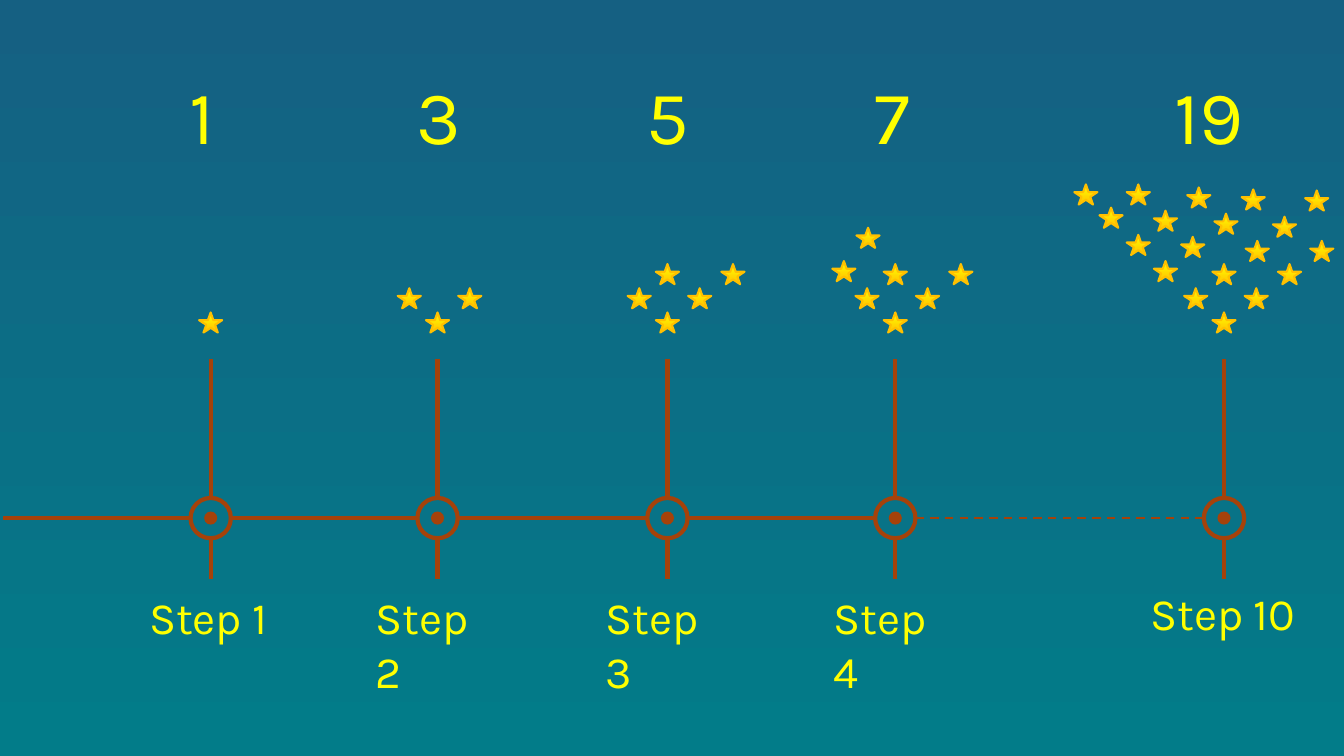
from dataclasses import dataclass

from lxml.etree import SubElement
from pptx import Presentation
from pptx.dml.color import RGBColor
from pptx.dml.fill import FillFormat
from pptx.enum.dml import MSO_LINE_DASH_STYLE as Dash
from pptx.enum.shapes import MSO_AUTO_SHAPE_TYPE as Preset, MSO_CONNECTOR_TYPE as Link
from pptx.enum.text import MSO_AUTO_SIZE as AutoSize
from pptx.oxml.ns import qn
from pptx.shapes.autoshape import Shape
from pptx.slide import Slide
from pptx.util import Inches, Pt


@dataclass(frozen=True)
class Theme:
    font: str = "Karla"
    sky: str = "156082"
    sea: str = "027C89"
    rail: str = "A5420A"
    text: str = "FFFF00"
    star_top: str = "FFFF00"
    star_bottom: str = "FFC000"
    count_size: float = 54
    label_size: float = 32
    rail_width: float = 3
    thin_width: float = 1.5


@dataclass(frozen=True)
class Step:
    number: int
    center: float
    stars: tuple[tuple[float, float], ...]
    label_top: float = 5.8
    label_width: float = 1.42
    count_width: float = 0.61
    count_shift: float = 0
    skipped: bool = False


THEME = Theme()
AXIS = 5.14
RAIL_START = 0.03
RING = 0.4
DOT = 0.13
STEM_TOP, STEM_BOTTOM = 3.56, 5.74
STAR_WIDTH, STAR_HEIGHT, STAR_TOP = 0.23, 0.2, 3.1

GROWING_STARS = (
    (0, 0), (-0.28, -0.24), (0.32, -0.24), (0, -0.48), (0.65, -0.48),
    (-0.27, -0.84), (-0.51, -0.51),
)
OUTER_STARS = (
    (-0.58, -0.51), (-0.31, -0.75), (0.33, -0.71), (0.6, -0.95), (0.02, -0.98),
    (0.29, -1.22), (0.97, -0.71), (-0.85, -0.77), (-0.58, -1.01), (-1.12, -1.04),
    (-0.85, -1.27), (-0.25, -1.24), (0.92, -1.21), (-1.37, -1.27),
)
STEPS = [
    Step(number, center, GROWING_STARS[:2 * number - 1])
    for number, center in enumerate((2.09, 4.34, 6.62, 8.88), start=1)
] + [
    Step(10, 12.14, GROWING_STARS[:5] + OUTER_STARS, label_top=5.76, label_width=1.66,
         count_width=1.01, count_shift=-0.08, skipped=True)
]


def color(code: str) -> RGBColor:
    return RGBColor.from_string(code)


def paint_gradient(fill: FillFormat, top: str, bottom: str) -> None:
    fill.gradient()
    fill.gradient_angle = 270
    for stop, code in zip(fill.gradient_stops, (top, bottom)):
        stop.color.rgb = color(code)


def add_line(page: Slide, start: tuple[float, float], end: tuple[float, float],
             dashed: bool = False) -> None:
    line = page.shapes.add_connector(Link.STRAIGHT, *map(Inches, start + end))
    line.line.color.rgb = color(THEME.rail)
    line.line.width = Pt(THEME.thin_width if dashed else THEME.rail_width)
    if dashed:
        line.line.dash_style = Dash.DASH
    SubElement(line.element.spPr, qn("a:effectLst"))


def add_preset(page: Slide, preset: Preset, center: float, top: float,
               width: float, height: float) -> Shape:
    shape = page.shapes.add_shape(
        preset, *map(Inches, (center - width / 2, top, width, height)))
    shape.shadow.inherit = False
    return shape


def add_node(page: Slide, center: float) -> None:
    dot = add_preset(page, Preset.OVAL, center, AXIS - DOT / 2, DOT, DOT)
    dot.fill.solid()
    dot.fill.fore_color.rgb = color(THEME.rail)
    dot.line.fill.background()
    ring = add_preset(page, Preset.OVAL, center, AXIS - RING / 2, RING, RING)
    ring.fill.background()
    ring.line.color.rgb = color(THEME.rail)
    ring.line.width = Pt(THEME.rail_width)


def add_star(page: Slide, center: float, top: float) -> None:
    star = add_preset(page, Preset.STAR_5_POINT, center, top, STAR_WIDTH, STAR_HEIGHT)
    paint_gradient(star.fill, THEME.star_top, THEME.star_bottom)
    star.line.color.rgb = color(THEME.star_bottom)
    star.line.width = Pt(THEME.thin_width)


def add_text(page: Slide, words: str, center: float, top: float,
             width: float, height: float, size: float) -> None:
    box = page.shapes.add_textbox(
        *map(Inches, (center - width / 2, top, width, height)))
    frame = box.text_frame
    frame.word_wrap = True
    frame.auto_size = AutoSize.SHAPE_TO_FIT_TEXT
    span = frame.paragraphs[0].add_run()
    span.text = words
    span.font.name = THEME.font
    span.font.size = Pt(size)
    span.font.color.rgb = color(THEME.text)


def add_step(page: Slide, step: Step, rail_start: float) -> None:
    center = step.center
    add_line(page, (rail_start, AXIS), (center - RING / 2, AXIS), step.skipped)
    add_node(page, center)
    add_line(page, (center, STEM_TOP), (center, AXIS - RING / 2))
    add_line(page, (center, AXIS + RING / 2), (center, STEM_BOTTOM))
    for across, down in step.stars:
        add_star(page, center + across, STAR_TOP + down)
    add_text(page, f"Step {step.number}", center, step.label_top,
             step.label_width, 0.64, THEME.label_size)
    add_text(page, str(len(step.stars)), center + step.count_shift, 0.63,
             step.count_width, 1.01, THEME.count_size)


def main() -> None:
    deck = Presentation()
    deck.slide_width, deck.slide_height = Inches(13.33), Inches(7.5)
    page = deck.slides.add_slide(deck.slide_layouts[6])
    paint_gradient(page.background.fill, THEME.sky, THEME.sea)
    rail_start = RAIL_START
    for step in STEPS:
        add_step(page, step, rail_start)
        rail_start = step.center + RING / 2
    deck.save("out.pptx")


if __name__ == "__main__":
    main()
